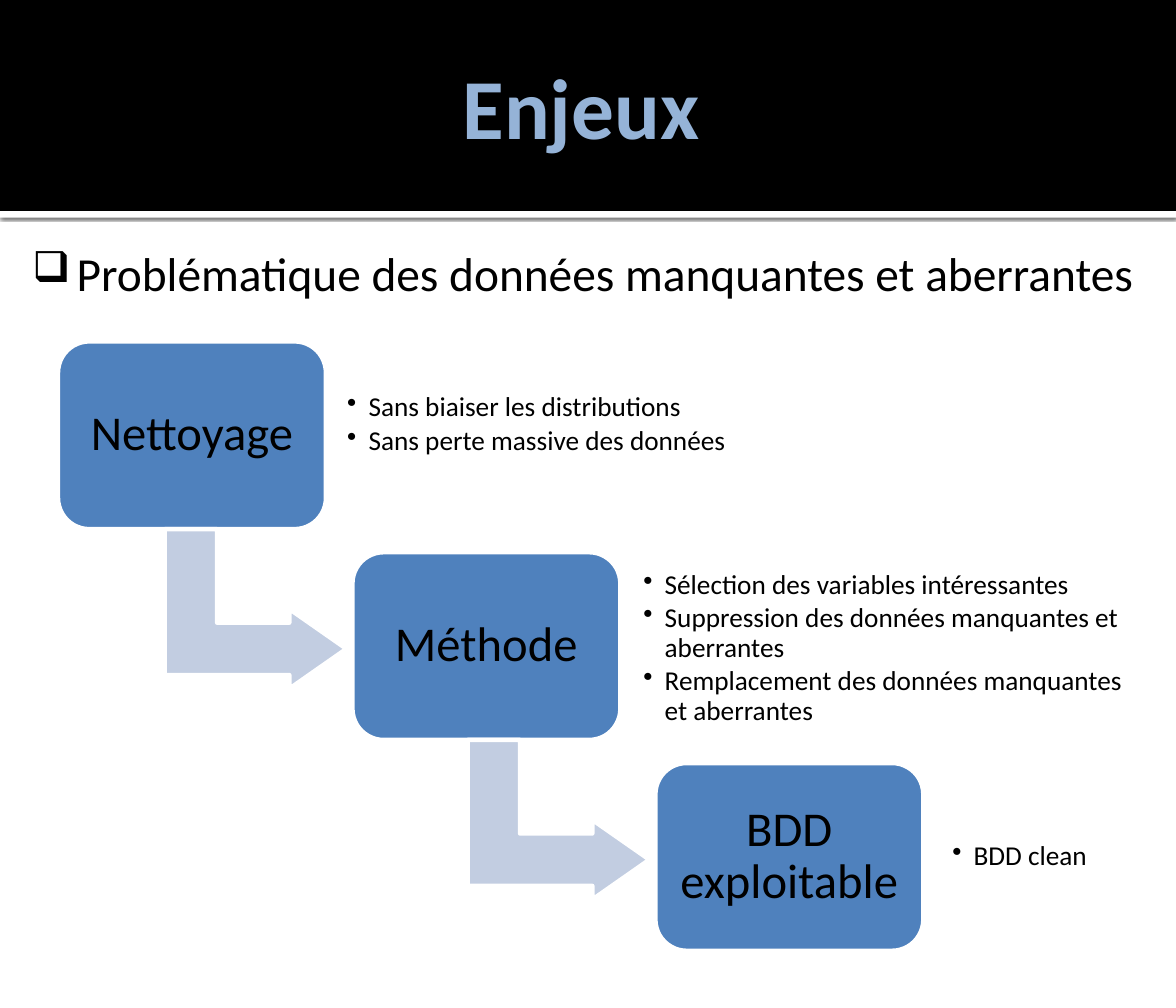
from dataclasses import dataclass

from lxml.etree import SubElement
from pptx import Presentation
from pptx.dml.color import RGBColor
from pptx.enum.shapes import MSO_SHAPE as Preset
from pptx.enum.text import MSO_ANCHOR as Anchor, PP_ALIGN as Align
from pptx.oxml.ns import qn
from pptx.shapes.autoshape import Shape
from pptx.slide import Slide
from pptx.util import Inches, Pt

FONT = "Calibri"
BLACK, WHITE = "000000", "FFFFFF"
TITLE_BLUE, STEP_BLUE, ARROW_BLUE = "95B3D7", "4F81BD", "C2CDE1"
STEP_TOP, STEP_PITCH = 4, 2.47
STEP_WIDTH, STEP_HEIGHT = 3.14, 2.2
ARROW_WIDTH, ARROW_HEIGHT = 1.87, 2.13
ARROW_SHIFT, ARROW_RISE = 2.07, 0.4

Box = tuple[float, float, float, float]


@dataclass(frozen=True)
class Step:
    title: str
    left: float
    details: tuple[str, ...]
    details_box: Box


STEPS = (
    Step("Nettoyage", 0.68,
         ("Sans biaiser les distributions",
          "Sans perte massive des données"),
         (3.97, 4.52, 4.81, 0.91)),
    Step("Méthode", 4.13,
         ("Sélection des variables intéressantes",
          "Suppression des données manquantes et aberrantes",
          "Remplacement des données manquantes et aberrantes"),
         (7.44, 6.77, 6.02, 1.65)),
    Step("BDD exploitable", 7.68, ("BDD clean",), (11.06, 9.7, 2.29, 0.68)),
)


def color(value: str) -> RGBColor:
    return RGBColor.from_string(value)


def add_block(slide: Slide, preset: Preset, box: Box, fill: str,
              border: float = 0) -> Shape:
    block = slide.shapes.add_shape(preset, *map(Inches, box))
    block.shadow.inherit = False
    block.fill.solid()
    block.fill.fore_color.rgb = color(fill)
    if border:
        block.line.color.rgb = color(WHITE)
        block.line.width = Pt(border)
    else:
        block.line.fill.background()
    return block


def write(target: Shape, *lines: str, size: float, hue: str = BLACK,
          bold: bool = False, align: Align = Align.LEFT,
          anchor: Anchor = Anchor.MIDDLE, inset: float = 0.1,
          spacing: float = 1, after: float = 0, wrap: bool = True,
          bullet: str = "", indent: float = 0, bullet_size: int = 100) -> None:
    frame = target.text_frame
    frame.word_wrap = wrap
    frame.vertical_anchor = anchor
    frame.margin_left = frame.margin_right = Inches(inset)
    frame.margin_top = frame.margin_bottom = Inches(inset)
    for index, line in enumerate(lines):
        paragraph = frame.add_paragraph() if index else frame.paragraphs[0]
        if bullet:
            properties = paragraph._p.get_or_add_pPr()
            properties.set("marL", str(Inches(indent)))
            properties.set("indent", str(-Inches(indent)))
            SubElement(properties, qn("a:buSzPct"), val=str(bullet_size * 1000))
            SubElement(properties, qn("a:buChar"), char=bullet)
        paragraph.alignment = align
        paragraph.line_spacing = spacing
        paragraph.space_after = Pt(after)
        run = paragraph.add_run()
        run.text = line
        run.font.name = FONT
        run.font.size = Pt(size)
        run.font.bold = bold
        run.font.color.rgb = color(hue)


def add_text(slide: Slide, box: Box) -> Shape:
    return slide.shapes.add_textbox(*map(Inches, box))


def cast_shadow(band: Shape) -> None:
    effects = band._element.spPr.find(qn("a:effectLst"))
    shadow = SubElement(effects, qn("a:outerShdw"), blurRad=str(Pt(2.5)),
                        dist=str(Pt(0.8)), dir="5400000", rotWithShape="0")
    tint = SubElement(shadow, qn("a:srgbClr"), val=BLACK)
    SubElement(tint, qn("a:alpha"), val="60000")


def add_header(slide: Slide) -> None:
    cast_shadow(add_block(slide, Preset.RECTANGLE, (0, 2.47, 13.78, 0.08), WHITE))
    add_block(slide, Preset.RECTANGLE, (0, 0, 13.78, 2.47), BLACK)
    write(add_text(slide, (0.61, 0.15, 12.4, 2.16)), "Enjeux", size=72,
          hue=TITLE_BLUE, bold=True, align=Align.CENTER, inset=0.07)
    write(add_text(slide, (0.28, 2.76, 13.47, 0.77)),
          "Problématique des données manquantes et aberrantes", size=40,
          anchor=Anchor.TOP, inset=0.1, after=6, wrap=False,
          bullet="❑", indent=0.52, bullet_size=90)


def add_arrow(slide: Slide, left: float, top: float) -> None:
    arrow = add_block(slide, Preset.BENT_UP_ARROW,
                      (left, top, ARROW_WIDTH, ARROW_HEIGHT), ARROW_BLUE, 3.78)
    arrow.rotation = 90
    for index, value in enumerate((0.328, 0.25, 0.358)):
        arrow.adjustments[index] = value


def add_step(slide: Slide, step: Step, top: float) -> None:
    card = add_block(slide, Preset.ROUNDED_RECTANGLE,
                     (step.left, top, STEP_WIDTH, STEP_HEIGHT), STEP_BLUE, 3.78)
    write(card, step.title, size=41, align=Align.CENTER, inset=0.17, spacing=0.9)
    write(add_text(slide, step.details_box), *step.details, size=23,
          spacing=0.9, after=3.5, bullet="•", indent=0.25)


def main() -> None:
    deck = Presentation()
    deck.slide_width, deck.slide_height = Inches(13.78), Inches(11.81)
    slide = deck.slides.add_slide(deck.slide_layouts[6])
    add_header(slide)
    for index, step in enumerate(STEPS):
        top = STEP_TOP + index * STEP_PITCH
        if index:
            add_arrow(slide, step.left - ARROW_SHIFT, top - ARROW_RISE)
        add_step(slide, step, top)
    deck.save("out.pptx")


if __name__ == "__main__":
    main()
